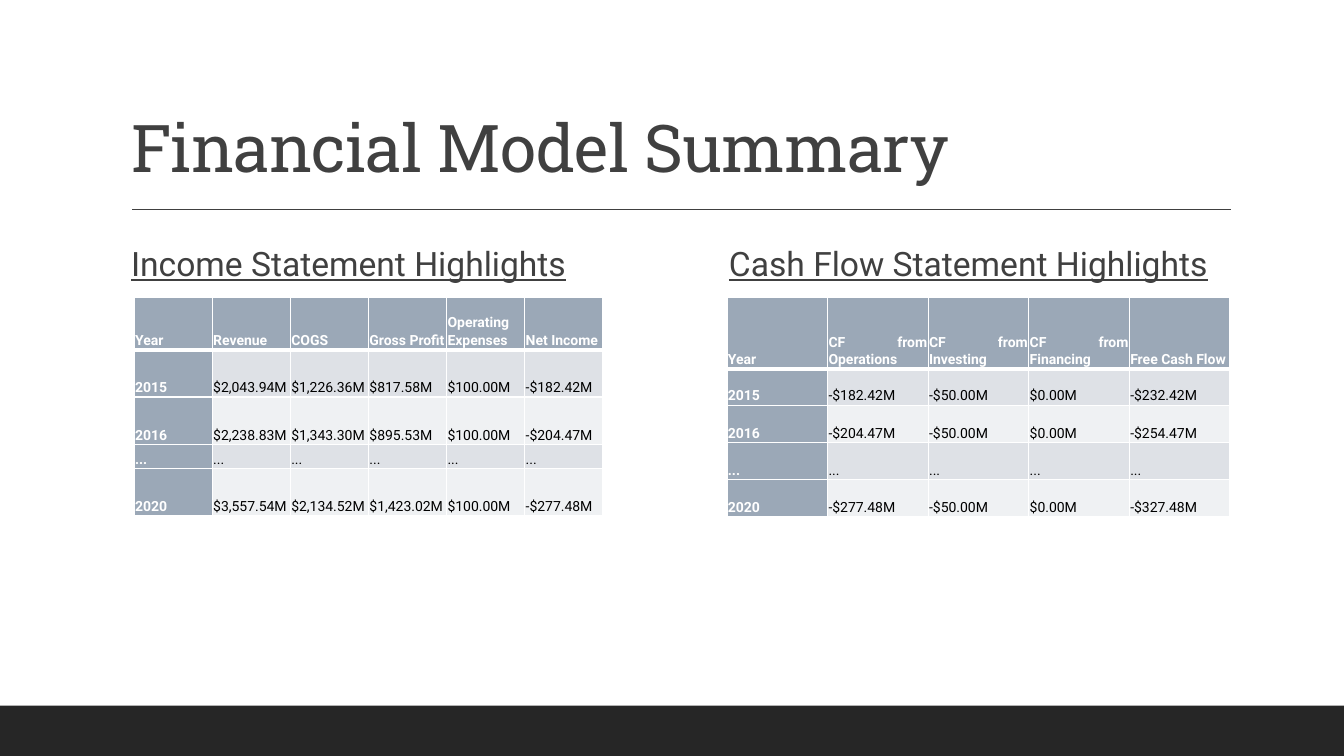
"""Build the Financial Model Summary slide with two statement tables."""
from lxml.etree import SubElement
from pptx import Presentation
from pptx.dml.color import RGBColor
from pptx.enum.shapes import MSO_CONNECTOR, MSO_SHAPE
from pptx.enum.text import MSO_ANCHOR, MSO_AUTO_SIZE, PP_ALIGN
from pptx.oxml import parse_xml
from pptx.oxml.ns import nsdecls, qn
from pptx.util import Inches, Pt

COLORS = {
    "text": "404040", "footer": "262626", "accent": "9BA8B7", "white": "FFFFFF",
    "black": "000000", "band_dark": "DEE1E6", "band_light": "EFF1F3",
}
TITLE = "Financial Model Summary"
STATEMENTS = [
    {
        "heading": "Income Statement Highlights",
        "heading_left": 1.2,
        "table_left": 1.33,
        "table_width": 4.65,
        "row_heights": [0.52, 0.47, 0.47, 0.24, 0.47],
        "rows": [
            ["Year", "Revenue", "COGS", "Gross Profit", "Operating Expenses", "Net Income"],
            ["2015", "$2,043.94M", "$1,226.36M", "$817.58M", "$100.00M", "-$182.42M"],
            ["2016", "$2,238.83M", "$1,343.30M", "$895.53M", "$100.00M", "-$204.47M"],
            ["..."] * 6,
            ["2020", "$3,557.54M", "$2,134.52M", "$1,423.02M", "$100.00M", "-$277.48M"],
        ],
    },
    {
        "heading": "Cash Flow Statement Highlights",
        "heading_left": 7.13,
        "table_left": 7.21,
        "table_width": 4.99,
        "row_heights": [0.71, 0.36, 0.37, 0.37, 0.37],
        "rows": [
            ["Year", "CF from Operations", "CF from Investing", "CF from Financing", "Free Cash Flow"],
            ["2015", "-$182.42M", "-$50.00M", "$0.00M", "-$232.42M"],
            ["2016", "-$204.47M", "-$50.00M", "$0.00M", "-$254.47M"],
            ["..."] * 5,
            ["2020", "-$277.48M", "-$50.00M", "$0.00M", "-$327.48M"],
        ],
    },
]


def color(name):
    return RGBColor.from_string(COLORS[name])


def place(shape, left, top, width, height):
    shape.left, shape.top = Inches(left), Inches(top)
    shape.width, shape.height = Inches(width), Inches(height)


def add_run(paragraph, text, size, font_name, color_name, bold=False):
    run = paragraph.add_run()
    run.text = text
    run.font.size = Pt(size)
    run.font.name = font_name
    run.font.bold = bold
    run.font.color.rgb = color(color_name)
    return run


def add_title(slide):
    title = slide.shapes.title
    place(title, 1.2, 0.31, 11, 1.59)
    frame = title.text_frame
    frame.auto_size = MSO_AUTO_SIZE.NONE
    frame.vertical_anchor = MSO_ANCHOR.BOTTOM
    paragraph = frame.paragraphs[0]
    paragraph.alignment = PP_ALIGN.LEFT
    paragraph.line_spacing = 0.9
    run = add_run(paragraph, TITLE, 47, "Roboto Slab", "text")
    run.font._element.set("spc", "-50")


def add_decoration(slide):
    footer = slide.shapes.add_shape(
        MSO_SHAPE.RECTANGLE, 0, Inches(7), Inches(13.33), Inches(0.5))
    footer.shadow.inherit = False
    footer.fill.solid()
    footer.fill.fore_color.rgb = color("footer")
    footer.line.fill.background()
    rule = slide.shapes.add_connector(
        MSO_CONNECTOR.STRAIGHT, Inches(1.31), Inches(2.08), Inches(12.21), Inches(2.08))
    rule.line.color.rgb = color("text")
    rule.line.width = Pt(1)
    SubElement(rule._element.spPr, qn("a:effectLst"))


def add_heading(placeholder, statement):
    place(placeholder, statement["heading_left"], 2.32, 5.07, 4.1)
    frame = placeholder.text_frame
    frame.auto_size = MSO_AUTO_SIZE.NONE
    frame.vertical_anchor = MSO_ANCHOR.TOP
    frame.margin_left = frame.margin_right = 0
    paragraph = frame.paragraphs[0]
    paragraph.line_spacing = 1.1
    paragraph.space_before, paragraph.space_after = Pt(12), Pt(2)
    properties = paragraph._p.get_or_add_pPr()
    properties.set("marL", str(Inches(0.1)))
    properties.set("indent", str(Inches(-0.1)))
    bullet_color = SubElement(properties, qn("a:buClr"))
    SubElement(bullet_color, qn("a:srgbClr"), val=COLORS["accent"])
    SubElement(properties, qn("a:buChar"), char=" ")
    run = add_run(paragraph, statement["heading"], 24, "Roboto", "text")
    run.font.underline = True


def add_borders(cell, row):
    widths = {"lnL": 1, "lnR": 1, "lnT": 3 if row == 1 else 1, "lnB": 3 if row == 0 else 1}
    properties = cell._tc.get_or_add_tcPr()
    for position, (side, width) in enumerate(widths.items()):
        properties.insert(position, parse_xml(
            f'<a:{side} {nsdecls("a")} w="{Pt(width)}"><a:solidFill>'
            f'<a:srgbClr val="{COLORS["white"]}"/></a:solidFill></a:{side}>'))


def format_cell(cell, text, row, column):
    is_header = row == 0 or column == 0
    band = "band_dark" if row % 2 else "band_light"
    cell.fill.solid()
    cell.fill.fore_color.rgb = color("accent" if is_header else band)
    add_borders(cell, row)
    cell.vertical_anchor = MSO_ANCHOR.BOTTOM
    cell.margin_left = cell.margin_right = Inches(0.01)
    cell.margin_top = cell.margin_bottom = Inches(0.01)
    paragraph = cell.text_frame.paragraphs[0]
    paragraph.alignment = PP_ALIGN.JUSTIFY
    paragraph.line_spacing = 1.07
    paragraph.space_after = Pt(8)
    add_run(paragraph, text, 10, "Roboto", "white" if is_header else "black", is_header)


def add_statement_table(slide, statement):
    rows, heights = statement["rows"], statement["row_heights"]
    width = Inches(statement["table_width"])
    table = slide.shapes.add_table(
        len(rows), len(rows[0]), Inches(statement["table_left"]), Inches(2.95),
        width, Inches(sum(heights))).table
    for column in table.columns:
        column.width = width // len(rows[0])
    for row, (texts, height) in enumerate(zip(rows, heights)):
        table.rows[row].height = Inches(height)
        for column, text in enumerate(texts):
            format_cell(table.cell(row, column), text, row, column)


def main():
    presentation = Presentation()
    presentation.slide_width, presentation.slide_height = Inches(13.33), Inches(7.5)
    slide = presentation.slides.add_slide(presentation.slide_layouts.get_by_name("Two Content"))
    add_decoration(slide)
    add_title(slide)
    for index, statement in enumerate(STATEMENTS, start=1):
        add_heading(slide.placeholders[index], statement)
        add_statement_table(slide, statement)
    presentation.save("out.pptx")


if __name__ == "__main__":
    main()
